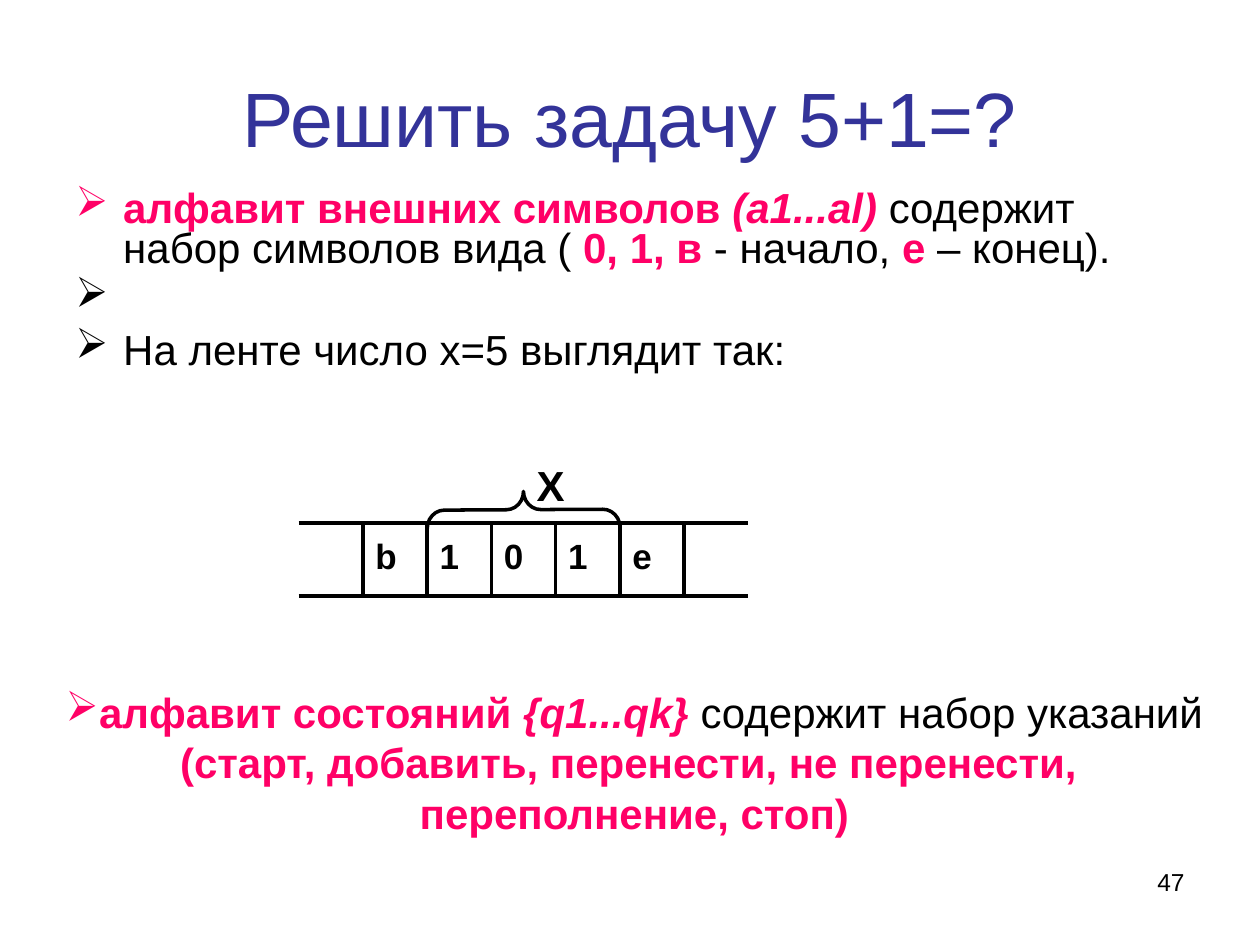
from lxml.etree import SubElement
from pptx import Presentation
from pptx.dml.color import RGBColor
from pptx.enum.shapes import MSO_CONNECTOR, MSO_SHAPE
from pptx.enum.text import MSO_ANCHOR, PP_ALIGN
from pptx.oxml.ns import qn
from pptx.util import Inches, Pt

BLACK, PINK, BLUE = "000000", "FF0066", "333399"
CELL = 0.51
TAPE_LEFT, TAPE_TOP, TAPE_BOTTOM = 2.37, 4.15, 4.73


def color(value):
    return RGBColor.from_string(value)


def column_x(column):
    return TAPE_LEFT + column * CELL


def add_bullet(p, value, indent):
    pPr = p._p.get_or_add_pPr()
    pPr.set("marL", str(Inches(indent)))
    pPr.set("indent", str(-Inches(indent)))
    clr = SubElement(pPr, qn("a:buClr"))
    SubElement(clr, qn("a:srgbClr")).set("val", value)
    SubElement(pPr, qn("a:buChar")).set("char", "➢")


def add_runs(p, runs, size):
    for text, value, bold, italic in runs:
        r = p.add_run()
        r.text = text
        r.font.name = "Arial"
        r.font.size = Pt(size)
        r.font.bold = bold
        r.font.italic = italic
        r.font.color.rgb = color(value)


def plain(text, value=BLACK):
    return text, value, False, False


def strong(text, value=PINK, italic=False):
    return text, value, True, italic


def add_text(s, box, paragraphs, size, align=PP_ALIGN.LEFT, anchor=MSO_ANCHOR.TOP):
    tf = s.shapes.add_textbox(*map(Inches, box)).text_frame
    tf.word_wrap = True
    tf.vertical_anchor = anchor
    for i, runs in enumerate(paragraphs):
        p = tf.paragraphs[0] if i == 0 else tf.add_paragraph()
        p.alignment = align
        add_runs(p, runs, size)
    return tf


def add_line(s, x1, y1, x2, y2):
    line = s.shapes.add_connector(MSO_CONNECTOR.STRAIGHT, *map(Inches, (x1, y1, x2, y2)))
    line.line.color.rgb = color(BLACK)
    line.line.width = Pt(2)
    SubElement(line._element.spPr, qn("a:effectLst"))


def add_brace(s, left, top, width, height):
    sp = s.shapes.add_shape(MSO_SHAPE.LEFT_BRACE, *map(Inches, (left, top, width, height)))
    sp.adjustments[0] = 0.47
    sp.rotation = 89.7
    sp.shadow.inherit = False
    sp.fill.background()
    sp.line.color.rgb = color(BLACK)
    sp.line.width = Pt(2)


def add_alphabet(s):
    paragraphs = [
        [strong("алфавит внешних символов "), strong("(a1...al) ", italic=True),
         plain("содержит набор символов вида ( "), strong("0, 1, в"),
         plain(" - начало, "), strong("е"), plain(" – конец).")],
        [plain(" ")],
        [plain("На ленте число x=5 выглядит так:")],
    ]
    tf = add_text(s, (0.5, 1.47, 9, 1.57), paragraphs, 24)
    for i, p in enumerate(tf.paragraphs):
        p.line_spacing = 0.8
        p.space_before = Pt(6 if i else 0)
        add_bullet(p, BLACK if i else PINK, 0.38)


def add_tape(s, symbols):
    for y in (TAPE_TOP, TAPE_BOTTOM):
        add_line(s, TAPE_LEFT, y, column_x(7), y)
    for column in range(1, len(symbols) + 2):
        add_line(s, column_x(column), TAPE_TOP, column_x(column), TAPE_BOTTOM)
    add_brace(s, 4.01, 3.28, 0.29, 3 * CELL)
    add_text(s, (4.16, 3.6, CELL, 0.59), [[strong("Х", BLACK)]], 24)
    for column, symbol in enumerate(symbols, 1):
        add_text(s, (column_x(column), 4.19, CELL, 0.59), [[strong(symbol, BLACK)]], 20)


def add_states(s):
    paragraphs = [
        [strong("алфавит состояний "), strong("{q1...qk} ", italic=True),
         plain("содержит набор указаний "),
         strong("(старт, добавить, перенести, не перенести, ")],
        [strong("переполнение, стоп)")],
    ]
    tf = add_text(s, (0.35, 5.4, 9.37, 1.3), paragraphs, 24, PP_ALIGN.CENTER)
    add_bullet(tf.paragraphs[0], PINK, 0)


def main():
    prs = Presentation()
    prs.slide_width, prs.slide_height = Inches(10), Inches(7.5)
    s = prs.slides.add_slide(prs.slide_layouts[6])
    add_text(s, (0.5, 0.3, 9, 1.25), [[plain("Решить задачу 5+1=?", BLUE)]], 44,
             PP_ALIGN.CENTER, MSO_ANCHOR.MIDDLE)
    add_alphabet(s)
    add_tape(s, "b101e")
    add_states(s)
    add_text(s, (7.17, 6.83, 2.33, 0.52), [[plain("47")]], 14, PP_ALIGN.RIGHT)
    prs.save("out.pptx")


if __name__ == "__main__":
    main()
